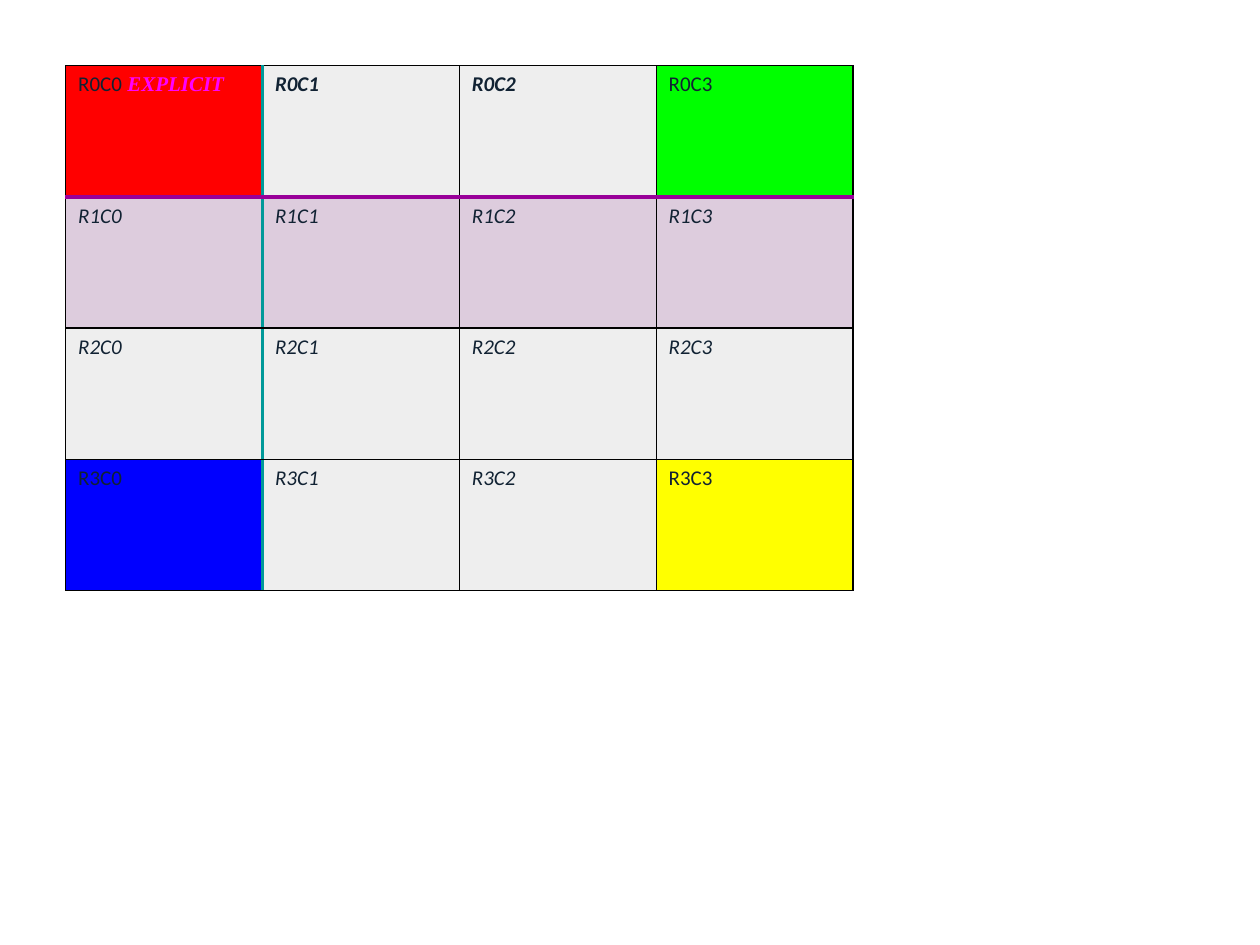
from pptx import Presentation
from pptx.dml.color import RGBColor
from pptx.oxml.ns import qn
from pptx.util import Pt
from lxml.etree import SubElement

SIZE = 4
CORNERS = {(0, 0): "FF0000", (0, 3): "00FF00", (3, 0): "0000FF", (3, 3): "FFFF00"}
THIN = ("000000", 0.75)
TEAL = ("009999", 2.25)
PLUM = ("990099", 3)


def color(code):
    """Turn a hex string into a colour."""
    return RGBColor.from_string(code)


def add_run(para, text, face, ink, bold, slant):
    """Add one styled run to a paragraph."""
    run = para.add_run()
    run.text = text
    font = run.font
    font.name, font.size = face, Pt(12)
    font.bold, font.italic = bold, slant
    font.color.rgb = color(ink)


def add_edge(cell, side, line):
    """Draw one border of a cell."""
    code, width = line
    props = cell._tc.get_or_add_tcPr()
    edge = SubElement(props, qn("a:ln" + side), w=str(Pt(width)))
    fill = SubElement(edge, qn("a:solidFill"))
    SubElement(fill, qn("a:srgbClr"), val=code)


def fill_cell(cell, row, col):
    """Set the borders, fill and label of a cell."""
    edges = {
        "L": TEAL if col == 1 else THIN,
        "R": TEAL if col == 0 else THIN,
        "T": PLUM if row == 1 else THIN,
        "B": PLUM if row == 0 else THIN,
    }
    for side, line in edges.items():
        add_edge(cell, side, line)
    corner = CORNERS.get((row, col))
    cell.fill.solid()
    cell.fill.fore_color.rgb = color(corner or ("DDCCDD" if row == 1 else "EEEEEE"))
    para = cell.text_frame.paragraphs[0]
    plain = corner is not None
    add_run(para, f"R{row}C{col}", "Calibri", "112233", row == 0 and not plain, not plain)
    if row == col == 0:
        add_run(para, " EXPLICIT", "Times New Roman", "FF00FF", True, True)


def add_grid(slide, left, top, width, height):
    """Place the table of labelled cells in a box."""
    box = (Pt(left), Pt(top), Pt(width), Pt(height))
    table = slide.shapes.add_table(SIZE, SIZE, *box).table
    table.first_row = False
    table.horz_banding = False
    for row in range(SIZE):
        for col in range(SIZE):
            fill_cell(table.cell(row, col), row, col)


def main():
    """Build the slide and save it."""
    deck = Presentation()
    deck.slide_width, deck.slide_height = Pt(720), Pt(540)
    slide = deck.slides.add_slide(deck.slide_layouts[6])
    add_grid(slide, 37.5, 37.5, 450, 300)
    deck.save("out.pptx")


if __name__ == "__main__":
    main()
